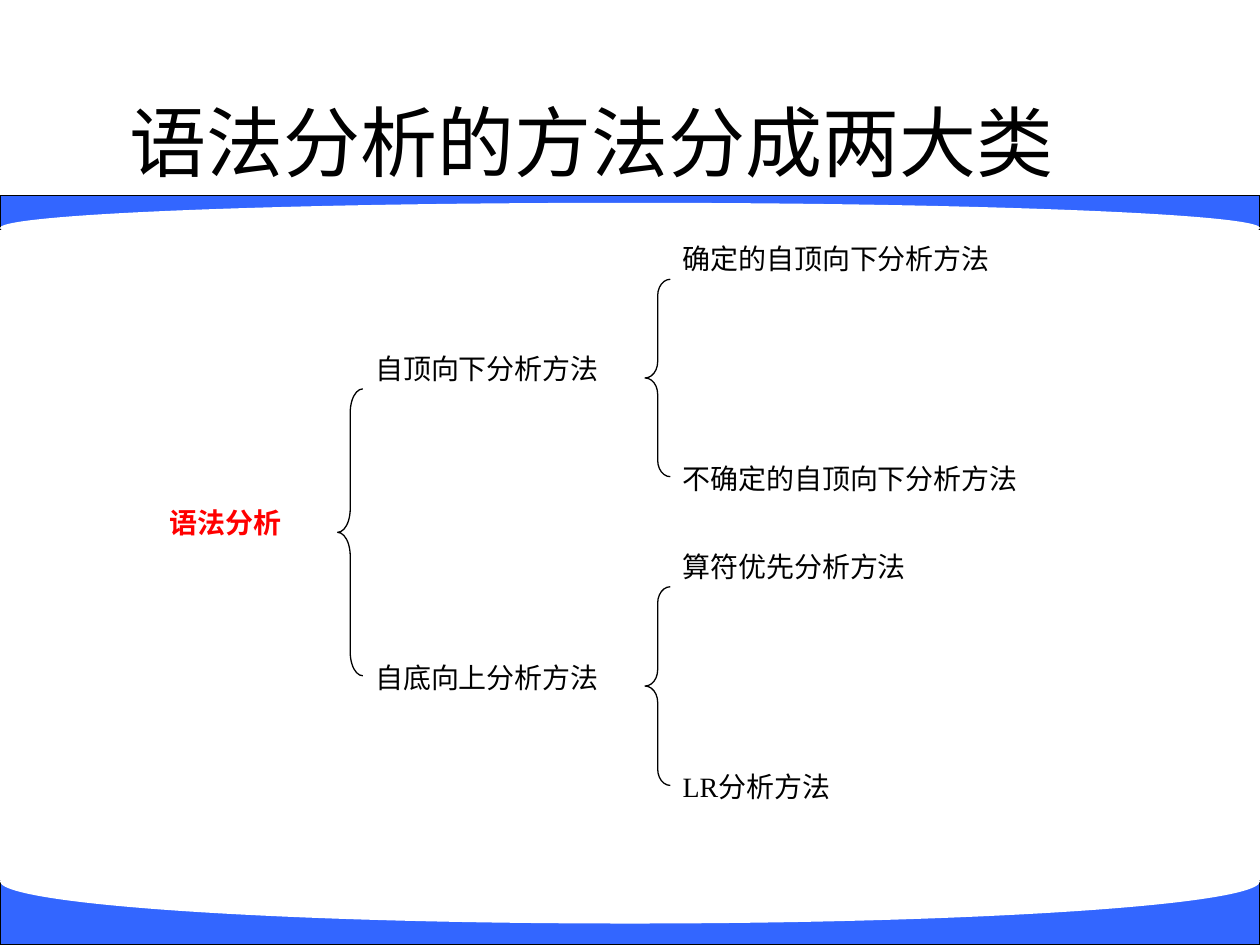
import pptx
import pptx.util
import pptx.dml.color
import pptx.enum.shapes
import pptx.enum.text

Inches, Pt = pptx.util.Inches, pptx.util.Pt
RGB = pptx.dml.color.RGBColor
Kind = pptx.enum.shapes.MSO_SHAPE
Align = pptx.enum.text.PP_ALIGN
Anchor = pptx.enum.text.MSO_ANCHOR

BLUE = RGB(0x33, 0x66, 0xFF)
WHITE = RGB(0xFF, 0xFF, 0xFF)
BLACK = RGB(0, 0, 0)
RED = RGB(0xFF, 0, 0)

WIDE, HIGH = 10, 7.5
TITLE = "语法分析的方法分成两大类 "
ROOT = ("语法分析", 3.96, 1.42)
# Each group: column, brace bend, then (label, top, width) rows
GROUPS = [
    (2.88, 0.94, [("自顶向下分析方法", 2.74, 2.44),
                  ("自底向上分析方法", 5.19, 2.44)]),
    (5.32, 0.65, [("确定的自顶向下分析方法", 1.87, 3.26),
                  ("不确定的自顶向下分析方法", 3.61, 3.46)]),
    (5.32, 0.65, [("算符优先分析方法", 4.31, 3.26),
                  ("LR分析方法", 6.06, 1.83)]),
]
# Each band: bar top, bar height, oval top, oval height
BANDS = [(1.55, 0.27, 1.61, 0.4), (6.99, 0.51, 6.66, 0.67)]
ROW = 0.52
BRACE = 0.2

deck = pptx.Presentation()
deck.slide_width, deck.slide_height = Inches(WIDE), Inches(HIGH)
slide = deck.slides.add_slide(deck.slide_layouts[6])


def add_shape(kind, x, y, w, h, fill=None, line=None):
    shape = slide.shapes.add_shape(kind, *map(Inches, (x, y, w, h)))
    shape.shadow.inherit = False
    if fill is None:
        shape.fill.background()
    else:
        shape.fill.solid()
        shape.fill.fore_color.rgb = fill
    if line is None:
        shape.line.fill.background()
    else:
        shape.line.color.rgb = line
        shape.line.width = Pt(0.75)
    return shape


def add_text(text, x, y, w, h=ROW, size=16, face="Times New Roman",
             color=BLACK, bold=False, align=Align.JUSTIFY, anchor=Anchor.TOP):
    frame = slide.shapes.add_textbox(*map(Inches, (x, y, w, h))).text_frame
    frame.word_wrap = True
    frame.vertical_anchor = anchor
    para = frame.paragraphs[0]
    para.alignment = align
    run = para.add_run()
    run.text = text
    run.font.size, run.font.name, run.font.bold = Pt(size), face, bold
    run.font.color.rgb = color


for top, high, arc, deep in BANDS:
    add_shape(Kind.RECTANGLE, 0, top, WIDE, high, BLUE, BLACK)
    add_shape(Kind.OVAL, 0, arc, WIDE, deep, WHITE)

add_text(TITLE, 0.27, 0.49, 9, 1.25, size=44, face="Arial",
         align=Align.CENTER, anchor=Anchor.MIDDLE)

label, top, wide = ROOT
add_text(label, 1.25, top, wide, color=RED, bold=True)

for left, bend, rows in GROUPS:
    start = rows[0][1] + ROW * 2 / 3
    end = rows[-1][1] + ROW / 3
    brace = add_shape(Kind.LEFT_BRACE, left - BRACE, start, BRACE,
                      end - start, line=BLACK)
    brace.adjustments[0] = bend
    for label, top, wide in rows:
        add_text(label, left, top, wide)

deck.save("out.pptx")
